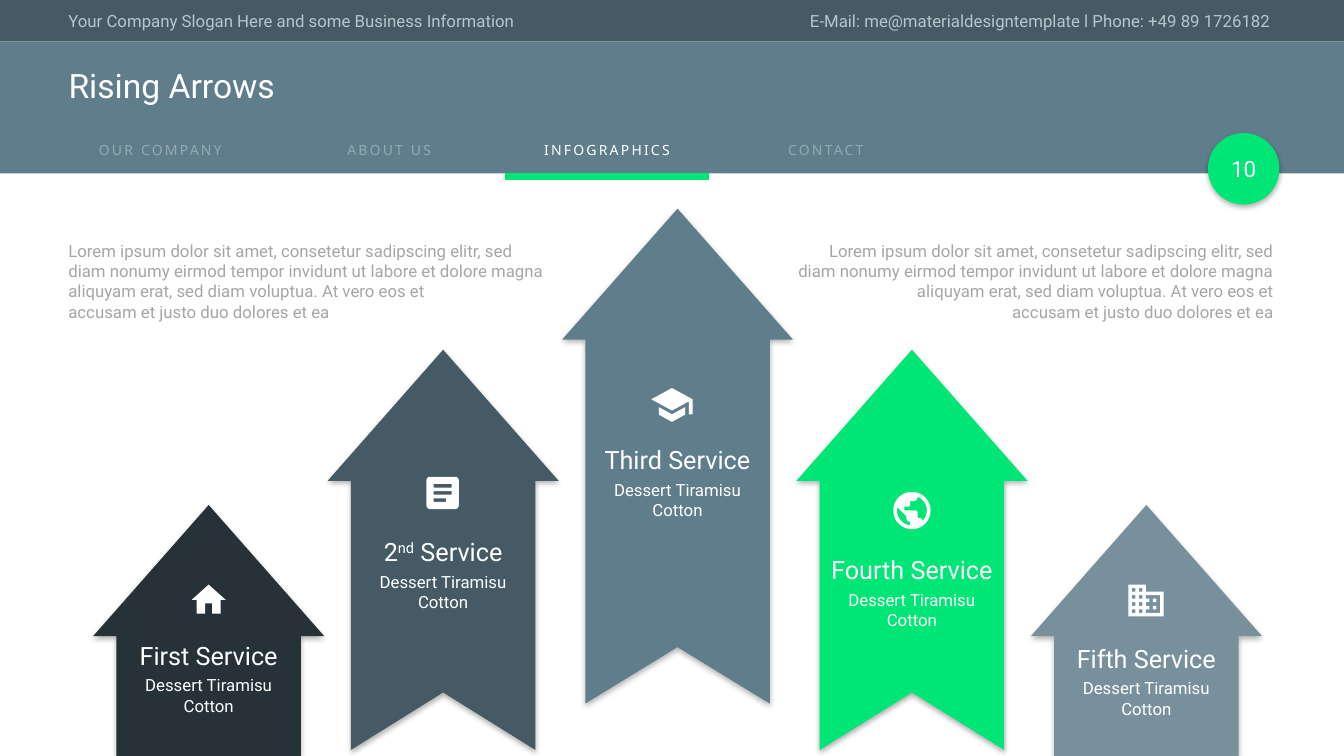
"""Build the Rising Arrows slide with five service arrows."""
from math import cos, radians, sin

from lxml.etree import SubElement
from pptx import Presentation
from pptx.dml.color import RGBColor
from pptx.enum.shapes import MSO_CONNECTOR as Connector, MSO_SHAPE as Preset
from pptx.enum.text import MSO_ANCHOR as Anchor, MSO_AUTO_SIZE as AutoSize, PP_ALIGN as Align
from pptx.oxml.ns import qn
from pptx.util import Inches, Pt


def arc(cx, cy, radius, start, end, steps=16):
    """Return points along an arc, angles in degrees clockwise from the right."""
    angles = [radians(start + (end - start) * i / steps) for i in range(steps + 1)]
    return [(cx + radius * cos(a), cy + radius * sin(a)) for a in angles]


def box(left, top, width, height):
    """Return the four corners of a rectangle."""
    right, bottom = left + width, top + height
    return [(left, top), (right, top), (right, bottom), (left, bottom)]


WHITE, GREEN, SLATE, DARK_SLATE = "FFFFFF", "00E676", "607D8B", "455A64"
PALE, MUTED, GREY = "B7C6CD", "93AAB5", "A6A6A6"

TITLE = "Rising Arrows"
PAGE = "10"
BARS = [(0, 0.41, DARK_SLATE), (0.41, 1.31, SLATE)]
HEADER = [
    (0.58, "Your Company Slogan Here and some Business Information", Align.LEFT),
    (7.14, "E-Mail: me@materialdesigntemplate l Phone: +49 89 1726182", Align.RIGHT),
]
TABS = [(0.58, "OUR COMPANY"), (2.85, "ABOUT US"), (5.01, "INFOGRAPHICS"), (7.18, "CONTACT")]
ACTIVE_TAB = "INFOGRAPHICS"
LOREM = [
    "Lorem ipsum dolor sit amet, consetetur sadipscing elitr, sed diam nonumy eirmod "
    "tempor invidunt ut labore et dolore magna aliquyam erat, sed diam voluptua. At vero eos et",
    "accusam et justo duo dolores et ea",
]
INTROS = [(0.58, Align.LEFT), (7.77, Align.RIGHT)]

HOME = [[(10, 20), (10, 14), (14, 14), (14, 20), (19, 20), (19, 12), (22, 12), (12, 3),
         (2, 12), (5, 12), (5, 20)]]
ARTICLE = [
    arc(5, 5, 2, 180, 270) + arc(19, 5, 2, 270, 360) + arc(19, 19, 2, 0, 90) + arc(5, 19, 2, 90, 180),
    box(7, 7, 10, 2), box(7, 11, 10, 2), box(7, 15, 7, 2),
]
SCHOOL = [
    [(5, 13.18), (5, 17.18), (12, 21), (19, 17.18), (19, 13.18), (12, 17)],
    [(12, 3), (1, 9), (12, 15), (21, 10.09), (21, 17), (23, 17), (23, 9)],
]
GLOBE = [
    arc(12, 12, 10, 0, 360, 64),
    arc(12, 12, 8, 97, 193) + [(9, 15), (9, 16)] + arc(11, 16, 2, 180, 90),
    arc(16, 18, 2, -18, -90) + [(15, 16), (15, 13)] + arc(14, 13, 1, 0, -90)
    + [(8, 12), (8, 10), (10, 10)] + arc(10, 9, 1, 90, 0) + [(11, 7), (13, 7)]
    + arc(13, 5, 2, 90, 0) + arc(12, 12, 8, -68, 42),
]
BUILDING = [
    [(12, 7), (12, 3), (2, 3), (2, 21), (22, 21), (22, 7)],
    *[box(x, y, 2, 2) for x in (4, 8) for y in (5, 9, 13, 17)],
    [(20, 19), (12, 19), (12, 17), (14, 17), (14, 15), (12, 15), (12, 13), (14, 13),
     (14, 11), (12, 11), (12, 9), (20, 9)],
    box(16, 11, 2, 2), box(16, 15, 2, 2),
]

DESSERT = ["Dessert Tiramisu Cotton"]
DESSERT_SPLIT = ["Dessert Tiramisu", "Cotton"]
SERVICES = [
    dict(name=["First Service"], detail=DESSERT, color="263238", tip=5.01, base=7.5, notch=0,
         text=(6.3, 1.77), icon=HOME, icon_at=(1.9, 5.8, 0.34)),
    dict(name=["2", "nd", " Service"], detail=DESSERT, color=DARK_SLATE, tip=3.47, base=7.44, notch=0.57,
         text=(5.27, 1.55), icon=ARTICLE, icon_at=(4.23, 4.73, 0.32)),
    dict(name=["Third Service"], detail=DESSERT, color=SLATE, tip=2.07, base=6.98, notch=0.56,
         text=(4.36, 1.77), icon=SCHOOL, icon_at=(6.46, 3.85, 0.41)),
    dict(name=["Fourth Service"], detail=DESSERT_SPLIT, color=GREEN, tip=3.47, base=7.44, notch=0.57,
         text=(5.45, 1.96), icon=GLOBE, icon_at=(8.86, 4.88, 0.37)),
    dict(name=["Fifth Service"], detail=DESSERT_SPLIT, color="78909C", tip=5.01, base=7.5, notch=0,
         text=(6.33, 1.7), icon=BUILDING, icon_at=(11.19, 5.8, 0.35)),
]
FIRST_CENTER, LAST_CENTER = 2.07, 11.37
HEAD_WIDTH, HEAD_HEIGHT, SHAFT_WIDTH = 2.29, 1.3, 1.83


def rgb(value):
    return RGBColor.from_string(value)


def assign(target, values):
    for key, value in values.items():
        setattr(target, key, value)


def paint(shape, color, shadow=False):
    shape.fill.solid()
    shape.fill.fore_color.rgb = rgb(color)
    shape.line.fill.background()
    shape.shadow.inherit = False
    if shadow:
        effects = shape._element.spPr.find(qn("a:effectLst"))
        outer = SubElement(effects, qn("a:outerShdw"), blurRad=str(Pt(4)), dist=str(Pt(2)),
                           dir="5400000", algn="t", rotWithShape="0")
        black = SubElement(outer, qn("a:srgbClr"), val="000000")
        SubElement(black, qn("a:alpha"), val="30000")


def write(paragraph, parts, size, color, align=Align.LEFT, font="Roboto", **layout):
    assign(paragraph, dict(alignment=align, **layout))
    runs = []
    for part in parts:
        run = paragraph.add_run()
        run.text = part
        assign(run.font, dict(name=font, size=Pt(size)))
        run.font.color.rgb = rgb(color)
        runs.append(run)
    return runs


def text_frame(shapes, left, top, width, height, anchor=Anchor.TOP):
    frame = shapes.add_textbox(*map(Inches, (left, top, width, height))).text_frame
    assign(frame, dict(word_wrap=True, vertical_anchor=anchor))
    return frame


def outline(shapes, contours, color, shadow=False):
    scaled = [[(Inches(x), Inches(y)) for x, y in contour] for contour in contours]
    builder = shapes.build_freeform(*scaled[0][0])
    for index, contour in enumerate(scaled):
        if index:
            builder.move_to(*contour[0])
        builder.add_line_segments(contour[1:], close=True)
    paint(builder.convert_to_shape(), color, shadow)


def add_header(slide):
    shapes = slide.shapes
    for top, height, color in BARS:
        paint(shapes.add_shape(Preset.RECTANGLE, 0, Inches(top), Inches(13.33), Inches(height)), color)
    for left, line, align in HEADER:
        write(text_frame(shapes, left, 0.06, 5.56, 0.3).paragraphs[0], [line], 12, PALE, align)
    for left, label in TABS:
        active = label == ACTIVE_TAB
        paragraph = text_frame(shapes, left, 1.35, 2.02, 0.27).paragraphs[0]
        run, = write(paragraph, [label], 10, WHITE if active else MUTED, Align.CENTER, "Noto Sans")
        run._r.get_or_add_rPr().set("spc", "160")
        if active:
            ends = map(Inches, (left, 1.75, left + 2.02, 1.75))
            underline = shapes.add_connector(Connector.STRAIGHT, *ends)
            underline.line.color.rgb = rgb(GREEN)
            underline.line.width = Pt(4.5)
            SubElement(underline._element.spPr, qn("a:effectLst"))
    paint(shapes.add_shape(Preset.OVAL, *map(Inches, (11.98, 1.32, 0.71, 0.71))), GREEN, True)
    write(text_frame(shapes, 11.94, 1.47, 0.79, 0.4, Anchor.MIDDLE).paragraphs[0],
          [PAGE], 16, WHITE, Align.CENTER)

    title = shapes.title
    shapes._spTree.append(title._element)
    assign(title, dict(left=Inches(0.58), top=Inches(0.63), width=Inches(12.28), height=Inches(0.47)))
    assign(title.text_frame, dict(auto_size=AutoSize.NONE, vertical_anchor=Anchor.MIDDLE))
    write(title.text_frame.paragraphs[0], [TITLE], 24, WHITE, line_spacing=0.9)


def add_service(shapes, center, service):
    tip, base, notch = service["tip"], service["base"], service["notch"]
    head, shaft, neck = HEAD_WIDTH / 2, SHAFT_WIDTH / 2, tip + HEAD_HEIGHT
    right = [(head, neck), (shaft, neck), (shaft, base)]
    left = [(-x, y) for x, y in reversed(right)]
    arrow = [(0, tip), *right, (0, base - notch), *left]
    outline(shapes, [[(center + x, y) for x, y in arrow]], service["color"], True)

    top, width = service["text"]
    frame = text_frame(shapes, center - width / 2, top, width, 0.86)
    name_runs = write(frame.paragraphs[0], service["name"], 18, WHITE, Align.CENTER)
    if len(name_runs) > 1:
        name_runs[1]._r.get_or_add_rPr().set("baseline", "30000")
    for index, line in enumerate(service["detail"]):
        write(frame.add_paragraph(), [line], 12, WHITE, Align.CENTER, space_before=Pt(0 if index else 3.5))

    icon, (icon_left, icon_top, icon_width) = service["icon"], service["icon_at"]
    xs, ys = zip(*[point for contour in icon for point in contour])
    unit = icon_width / (max(xs) - min(xs))
    outline(shapes, [[(icon_left + (x - min(xs)) * unit, icon_top + (y - min(ys)) * unit)
                      for x, y in contour] for contour in icon], WHITE)


def main():
    deck = Presentation()
    assign(deck, dict(slide_width=Inches(13.33), slide_height=Inches(7.5)))
    slide = deck.slides.add_slide(deck.slide_layouts[5])
    add_header(slide)
    step = (LAST_CENTER - FIRST_CENTER) / (len(SERVICES) - 1)
    for index, service in enumerate(SERVICES):
        add_service(slide.shapes, FIRST_CENTER + index * step, service)
    for left, align in INTROS:
        frame = text_frame(slide.shapes, left, 2.34, 4.96, 0.91)
        write(frame.paragraphs[0], LOREM[:1], 12, GREY, align)
        write(frame.add_paragraph(), LOREM[1:], 12, GREY, align)
    deck.save("out.pptx")


if __name__ == "__main__":
    main()
